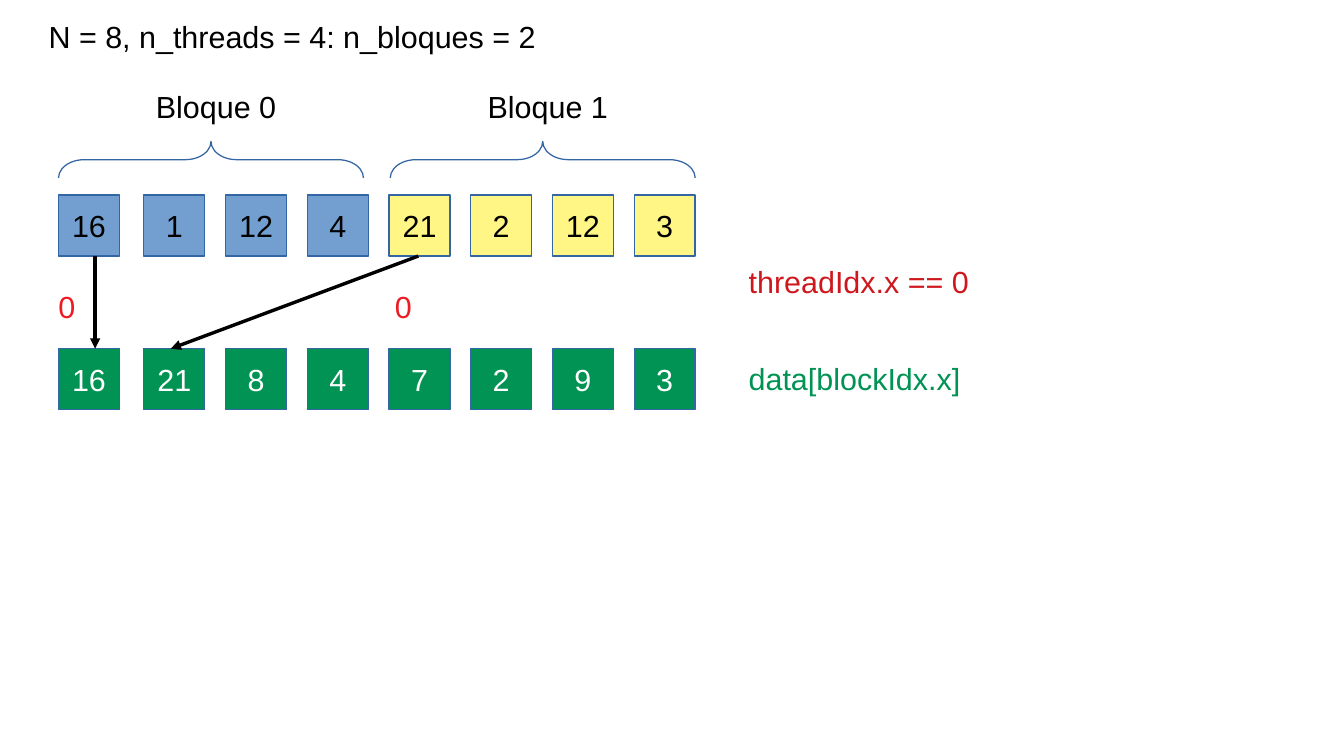
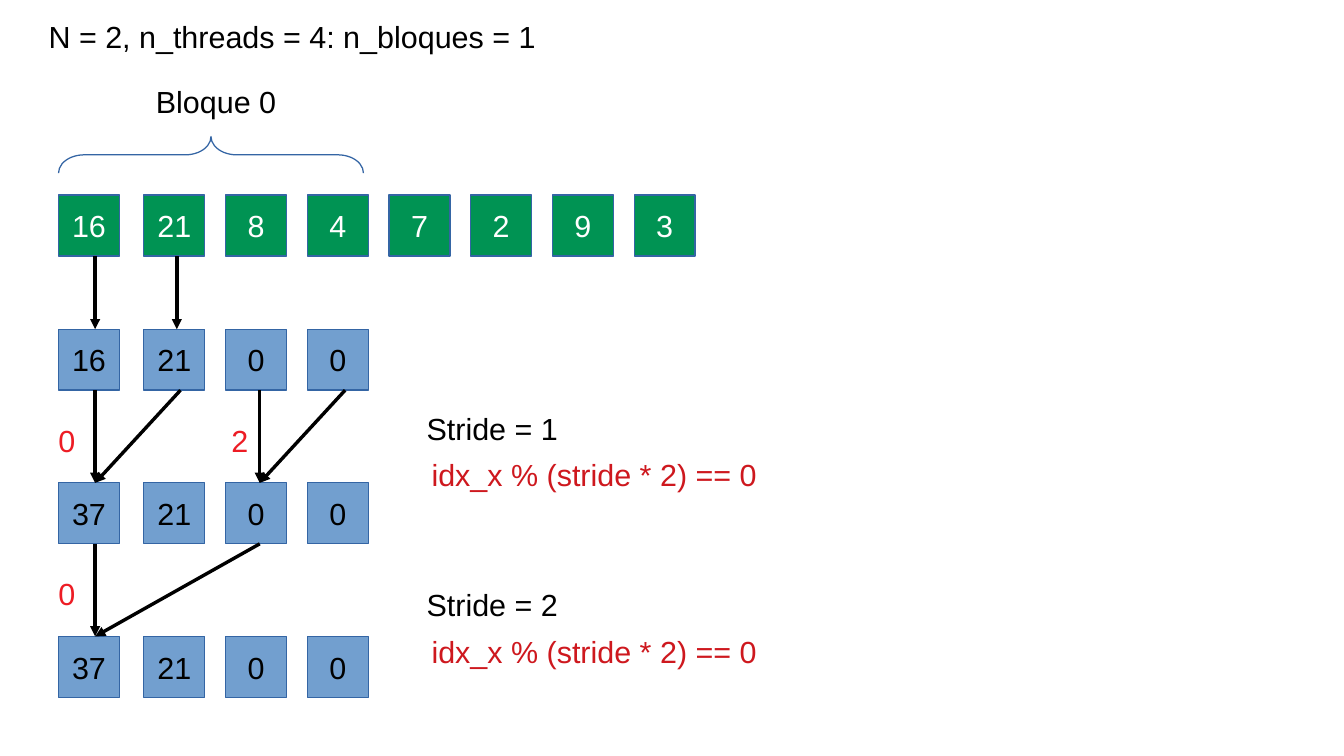
import pptx
import pptx.util
import pptx.dml.color
import pptx.enum.shapes
import pptx.enum.text
import pptx.oxml.ns
import pptx.oxml.xmlchemy

Inches = pptx.util.Inches

# Shared style
BLACK, WHITE = "000000", "FFFFFF"
BLUE, YELLOW, GREEN, OUTLINE = "729FCF", "FFF685", "009353", "3465A4"
THREAD_RED, CONDITION_RED = "ED1C24", "CE181E"
FONT = {"name": "Arial", "size": pptx.util.Pt(18)}
CELL = 0.5
COLUMNS = [0.48] + [1.18 + 0.67 * step for step in range(7)]
TITLE_AREA = (0.3, 0.1, 4.2, 0.5)
BRACE_LENGTH, BRACE_DEPTH = 2.5, 0.3
THREAD_SIZE = (0.7, 0.55)
STRIDE_SIZE = (1.8, 0.38)
CONDITION_SIZE = (2.9, 0.7)

# Content
REDUCED = [16, 21, 8, 4, 7, 2, 9, 3]
CONDITION = "idx_x % (stride * 2) == 0"

# rows: top, values, cell fills, text colour
# braces: label, label left, brace left, brace top
# arrows: start x, end x, start y, end y
# labels: text, left, top, size, colour
SLIDES = [
    {
        "title": "N = 8, n_threads = 4: n_bloques = 2",
        "rows": [
            (1.6, [16, 1, 12, 4, 21, 2, 12, 3], [BLUE] * 4 + [YELLOW] * 4, BLACK),
            (2.86, REDUCED, [GREEN] * 8, WHITE),
        ],
        "braces": [("Bloque 0", 1.18, 0.48, 1.16), ("Bloque 1", 3.9, 3.2, 1.16)],
        "arrows": [(0.78, 0.78, 2.1, 2.86), (3.43, 1.4, 2.1, 2.86)],
        "labels": [
            ("0", 0.38, 2.31, THREAD_SIZE, THREAD_RED),
            ("0", 3.14, 2.31, THREAD_SIZE, THREAD_RED),
            ("threadIdx.x == 0", 6.04, 2.11, CONDITION_SIZE, CONDITION_RED),
            ("data[blockIdx.x]", 6.04, 2.9, CONDITION_SIZE, GREEN),
        ],
    },
    {
        "title": "N = 2, n_threads = 4: n_bloques = 1",
        "rows": [
            (1.6, REDUCED, [GREEN] * 8, WHITE),
            (2.7, [16, 21, 0, 0], [BLUE] * 4, BLACK),
            (3.96, [37, 21, 0, 0], [BLUE] * 4, BLACK),
            (5.22, [37, 21, 0, 0], [BLUE] * 4, BLACK),
        ],
        "braces": [("Bloque 0", 1.18, 0.48, 1.12)],
        "arrows": [
            (0.78, 0.78, 2.1, 2.7), (1.45, 1.45, 2.1, 2.7),
            (0.78, 0.78, 3.2, 3.96), (1.48, 0.78, 3.2, 3.96),
            (2.13, 2.13, 3.2, 3.96), (2.83, 2.13, 3.2, 3.96),
            (0.78, 0.78, 4.46, 5.22), (2.13, 0.78, 4.46, 5.22),
        ],
        "labels": [
            ("0", 0.38, 3.41, THREAD_SIZE, THREAD_RED),
            ("2", 1.8, 3.41, THREAD_SIZE, THREAD_RED),
            ("0", 0.38, 4.67, THREAD_SIZE, THREAD_RED),
            ("Stride = 1", 3.4, 3.31, STRIDE_SIZE, BLACK),
            (CONDITION, 3.44, 3.69, CONDITION_SIZE, CONDITION_RED),
            ("Stride = 2", 3.4, 4.76, STRIDE_SIZE, BLACK),
            (CONDITION, 3.44, 5.14, CONDITION_SIZE, CONDITION_RED),
        ],
    },
]


def rgb(value):
    return pptx.dml.color.RGBColor.from_string(value)


def write(shape, text, color):
    para = shape.text_frame.paragraphs[0]
    span = para.add_run()
    span.text = text
    for name, value in FONT.items():
        setattr(span.font, name, value)
    span.font.color.rgb = rgb(color)
    return para


def set_hairline(shape, color):
    shape.line.color.rgb = rgb(color)
    shape.line.width = pptx.util.Pt(0)


def add_outlined(page, kind, left, top, width, height):
    shape = page.shapes.add_shape(
        kind, Inches(left), Inches(top), Inches(width), Inches(height))
    shape.shadow.inherit = False
    set_hairline(shape, OUTLINE)
    return shape


def add_label(page, text, left, top, size, color):
    box = page.shapes.add_textbox(
        Inches(left), Inches(top), Inches(size[0]), Inches(size[1]))
    box.text_frame.word_wrap = True
    write(box, text, color)


def add_row(page, top, values, fills, color):
    for left, value, fill in zip(COLUMNS, values, fills):
        cell = add_outlined(
            page, pptx.enum.shapes.MSO_SHAPE.RECTANGLE, left, top, CELL, CELL)
        cell.fill.solid()
        cell.fill.fore_color.rgb = rgb(fill)
        cell.text_frame.word_wrap = False
        cell.text_frame.vertical_anchor = pptx.enum.text.MSO_ANCHOR.MIDDLE
        para = write(cell, str(value), color)
        para.alignment = pptx.enum.text.PP_ALIGN.CENTER


def add_brace(page, label, label_left, left, top):
    # A left brace turned a quarter about its centre points upwards
    shift = (BRACE_LENGTH - BRACE_DEPTH) / 2
    brace = add_outlined(
        page, pptx.enum.shapes.MSO_SHAPE.LEFT_BRACE,
        left + shift, top - shift, BRACE_DEPTH, BRACE_LENGTH)
    brace.rotation = 90
    brace.adjustments[0] = 0.7
    brace.fill.background()
    add_label(page, label, label_left, top - 0.49, (1.3, 0.66), BLACK)


def add_arrow(page, start_x, end_x, start_y, end_y):
    arrow = page.shapes.add_connector(
        pptx.enum.shapes.MSO_CONNECTOR.STRAIGHT,
        Inches(start_x), Inches(start_y), Inches(end_x), Inches(end_y))
    set_hairline(arrow, BLACK)
    head = pptx.oxml.xmlchemy.OxmlElement("a:tailEnd")
    head.set("type", "triangle")
    properties = arrow._element.spPr
    properties.find(pptx.oxml.ns.qn("a:ln")).append(head)
    properties.append(pptx.oxml.xmlchemy.OxmlElement("a:effectLst"))


def main():
    deck = pptx.Presentation()
    deck.slide_width, deck.slide_height = Inches(11.02), Inches(6.2)
    for content in SLIDES:
        page = deck.slides.add_slide(deck.slide_layouts[6])
        add_label(page, content["title"], *TITLE_AREA[:2], TITLE_AREA[2:], BLACK)
        for part, draw in (("rows", add_row), ("braces", add_brace),
                           ("arrows", add_arrow), ("labels", add_label)):
            for item in content[part]:
                draw(page, *item)
    deck.save("out.pptx")


if __name__ == "__main__":
    main()
